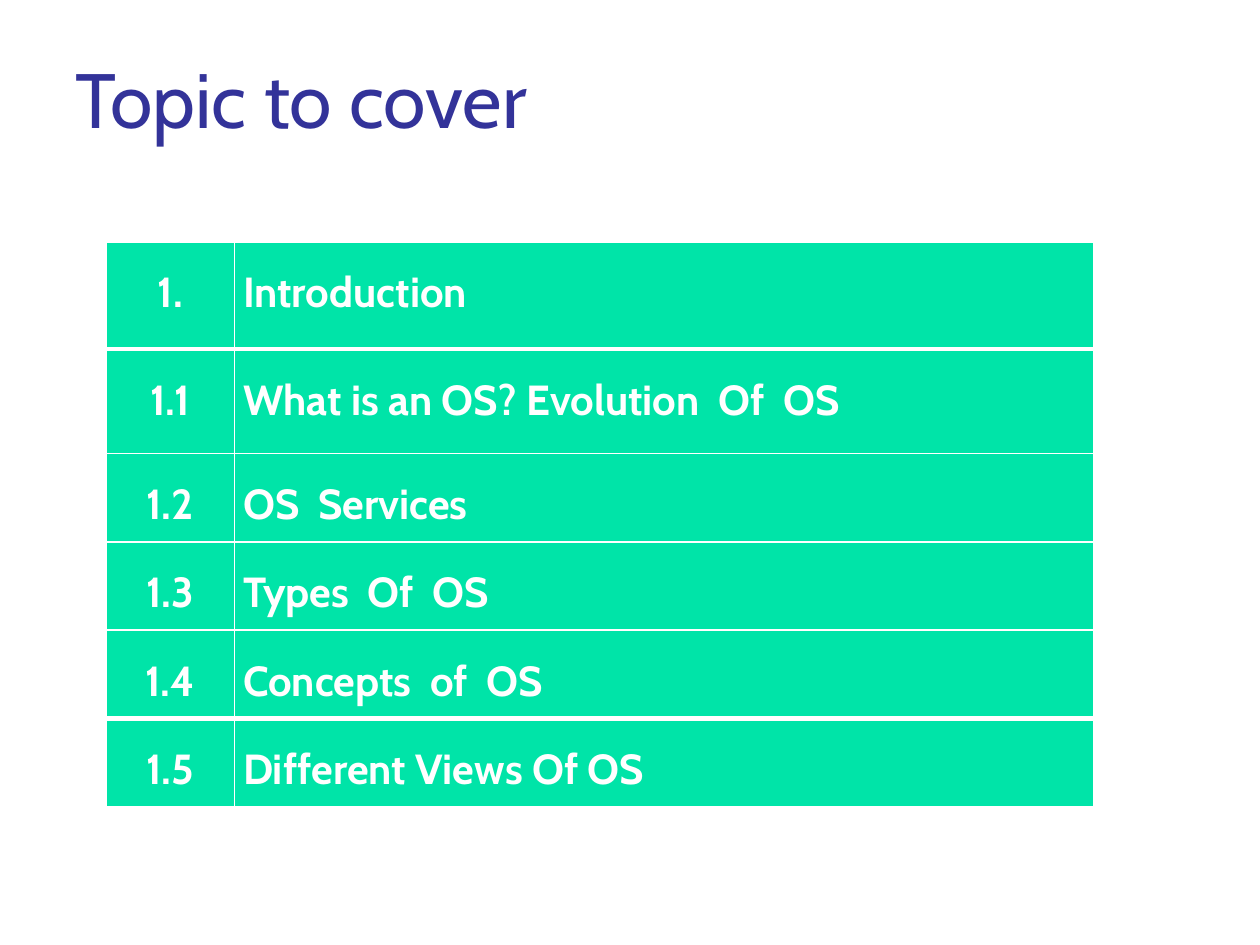
from typing import NamedTuple

from lxml import etree
from pptx import Presentation
from pptx import util as u
from pptx.dml.color import RGBColor
from pptx.enum import text
from pptx.oxml.ns import qn

WIDTH, HEIGHT = 10, 7.5
FONT = "Cabin"
WHITE, GREEN, BLUE = "FFFFFF", "00E4A8", "333399"
COLUMNS = (1.02, 6.82)
ALIGNS = (text.PP_ALIGN.CENTER, text.PP_ALIGN.JUSTIFY)
THIN, THICK = 1, 3


class Topic(NamedTuple):
    """One row of the topic table."""

    number: str
    name: str
    height: float = 0.7
    top: int = THIN
    bottom: int = THIN


TOPICS = (
    Topic("1.", "Introduction", height=0.85, bottom=THICK),
    Topic("1.1", "What is an OS? Evolution  Of  OS", height=0.83, top=THICK),
    Topic("1.2", "OS  Services"),
    Topic("1.3", "Types  Of  OS"),
    Topic("1.4", "Concepts  of  OS", bottom=THICK),
    Topic("1.5", "Different Views Of OS", top=THICK),
)


def color(value: str) -> RGBColor:
    """Turn a hex string into a colour."""
    return RGBColor.from_string(value)


def set_all(target, values: dict) -> None:
    """Set each attribute in values on the target."""
    for name, value in values.items():
        setattr(target, name, value)


def write(p, words: str, size: int, ink: str, **values) -> None:
    """Add a formatted run to a paragraph."""
    r = p.add_run()
    r.text = words
    set_all(r.font, {"name": FONT, "size": u.Pt(size), **values})
    r.font.color.rgb = color(ink)


def add_borders(cell, top: int, bottom: int) -> None:
    """Draw white cell borders, with widths in points."""
    tc_pr = cell._tc.get_or_add_tcPr()
    widths = {"lnL": THIN, "lnR": THIN, "lnT": top, "lnB": bottom}
    for i, (side, width) in enumerate(widths.items()):
        ln = etree.Element(qn(f"a:{side}"), w=str(u.Pt(width)))
        fill = etree.SubElement(ln, qn("a:solidFill"))
        etree.SubElement(fill, qn("a:srgbClr"), val=WHITE)
        tc_pr.insert(i, ln)


def add_title(s, words: str) -> None:
    """Add the slide title."""
    sp = s.shapes.add_textbox(
        u.Inches(0.05 * WIDTH), u.Inches(0.04 * HEIGHT), u.Inches(8.17), u.Inches(0.95)
    )
    tf = sp.text_frame
    set_all(tf, {"word_wrap": True, "vertical_anchor": text.MSO_ANCHOR.MIDDLE})
    write(tf.paragraphs[0], words, 44, BLUE)


def fill_cell(cell, words: str, align, topic: Topic) -> None:
    """Fill, border and label one cell."""
    set_all(cell, {
        "margin_left": u.Inches(0.07), "margin_right": u.Inches(0.07),
        "margin_top": 0, "margin_bottom": 0,
    })
    cell.fill.solid()
    cell.fill.fore_color.rgb = color(GREEN)
    add_borders(cell, topic.top, topic.bottom)
    p = cell.text_frame.paragraphs[0]
    set_all(p, {"alignment": align, "line_spacing": 1.5})
    write(p, words, 24, WHITE, bold=True)


def add_topics(s, topics: tuple[Topic, ...]) -> None:
    """Add the table of numbered topics."""
    table = s.shapes.add_table(
        len(topics), len(COLUMNS), u.Inches(0.84), u.Inches(1.92),
        u.Inches(sum(COLUMNS)), u.Inches(sum(t.height for t in topics)),
    ).table
    set_all(table, {"first_row": False, "horz_banding": False})
    for column, width in zip(table.columns, COLUMNS):
        column.width = u.Inches(width)
    for row, topic in zip(table.rows, topics):
        row.height = u.Inches(topic.height)
        for cell, words, align in zip(row.cells, (topic.number, topic.name), ALIGNS):
            fill_cell(cell, words, align, topic)


def main() -> None:
    """Build and save the slide."""
    prs = Presentation()
    set_all(prs, {"slide_width": u.Inches(WIDTH), "slide_height": u.Inches(HEIGHT)})
    s = prs.slides.add_slide(prs.slide_layouts[6])
    add_title(s, "Topic to cover")
    add_topics(s, TOPICS)
    prs.save("out.pptx")


if __name__ == "__main__":
    main()
